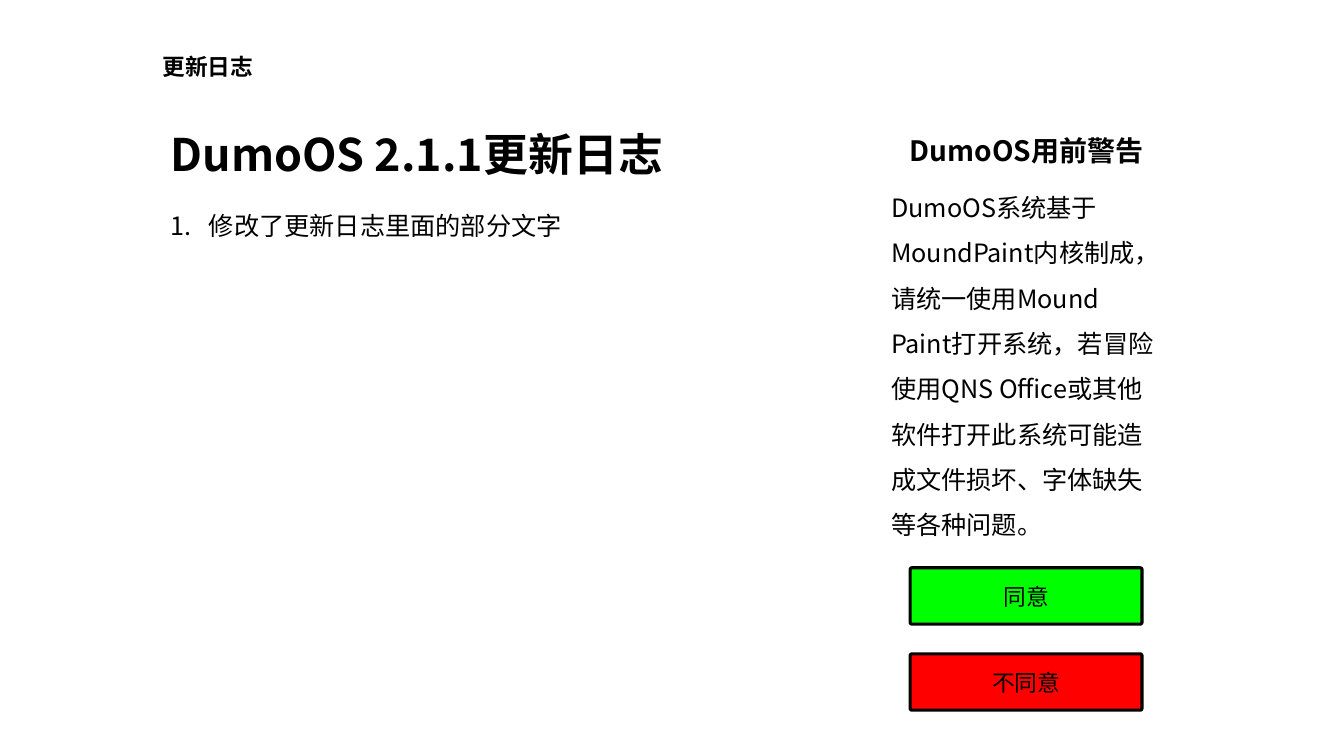
from lxml import etree
from pptx import Presentation
from pptx.dml.color import RGBColor
from pptx.enum.shapes import MSO_SHAPE
from pptx.enum.text import MSO_ANCHOR, MSO_AUTO_SIZE, PP_ALIGN
from pptx.oxml.ns import qn
from pptx.util import Inches, Pt

ROUND = MSO_SHAPE.ROUNDED_RECTANGLE
TOP, MID = MSO_ANCHOR.TOP, MSO_ANCHOR.MIDDLE
LEFT, MIDDLE, FULL = PP_ALIGN.LEFT, PP_ALIGN.CENTER, PP_ALIGN.JUSTIFY
GROW = MSO_AUTO_SIZE.SHAPE_TO_FIT_TEXT

WIDE, HIGH = Inches(13.33), Inches(7.5)
COLS, ROWS = 32, 18
FONT = "Noto Sans CJK SC"
HUES = {"ink": "000000", "card": "FFFFFF", "yes": "00FF00", "no": "FF0000"}

MAIN, SIDE = 3.62, 20.98
SPAN, SLIM = 24.29, 6.94
HEAD = 2.69
KEY, STEP = 13.52, 2.05
KEYS = [("同意", "yes"), ("不同意", "no")]
WARN = (
    "DumoOS系统基于MoundPaint内核制成，请统一使用Mound Paint打开系统，"
    "若冒险使用QNS Office或其他软件打开此系统可能造成文件损坏、字体缺失等各种问题。"
)


def hue(name):
    return RGBColor.from_string(HUES[name])


def cells(col, row, wide, high):
    return (
        round(col * WIDE / COLS),
        round(row * HIGH / ROWS),
        round(wide * WIDE / COLS),
        round(high * HIGH / ROWS),
    )


def place(shape, box):
    shape.left, shape.top, shape.width, shape.height = cells(*box)


def write(shape, text, size, align=LEFT, bold=False, lines=1, anchor=TOP):
    frame = shape.text_frame
    frame.word_wrap = True
    frame.vertical_anchor = anchor
    para = frame.paragraphs[0]
    para.alignment = align
    para.line_spacing = lines
    para.space_before = Pt(0)
    run = para.add_run()
    run.text = text
    font = run.font
    font.size, font.bold, font.name = Pt(size), bold, FONT
    font.color.rgb = hue("ink")
    etree.SubElement(font._element, qn("a:ea"), typeface=FONT)
    return para


def label(slide, box, text, size, **style):
    shape = slide.shapes.add_textbox(*cells(*box))
    write(shape, text, size, **style)
    shape.text_frame.auto_size = GROW


def block(slide, box, fill):
    shape = slide.shapes.add_shape(ROUND, *cells(*box))
    shape.adjustments[0] = 0.03
    shape.shadow.inherit = False
    shape.fill.solid()
    shape.fill.fore_color.rgb = hue(fill)
    shape.line.fill.background()
    return shape


def card(slide, box):
    shape = block(slide, box, "card")
    tint = shape.fill._xPr.find(qn("a:solidFill"))[0]
    etree.SubElement(tint, qn("a:alpha"), val="80000")
    return shape


def button(slide, box, text, fill):
    shape = block(slide, box, fill)
    shape.line.color.rgb = hue("ink")
    shape.line.width = Pt(2.25)
    write(shape, text, 16.2, align=MIDDLE, anchor=MID)


def title(slide, box, text):
    shape = slide.shapes.title
    place(shape, box)
    write(shape, text, 32, bold=True)
    shape.text_frame.auto_size = GROW


def steps(slide, box, text):
    shape = slide.placeholders[1]
    place(shape, box)
    para = write(shape, text, 18, lines=1.5)
    shape.text_frame.auto_size = GROW
    props = para._p.get_or_add_pPr()
    props.set("marL", str(Inches(0.38)))
    props.set("indent", str(-Inches(0.38)))
    etree.SubElement(props, qn("a:buFont"), typeface="+mj-lt")
    etree.SubElement(props, qn("a:buAutoNum"), type="arabicPeriod")


def main():
    deck = Presentation()
    deck.slide_width, deck.slide_height = WIDE, HIGH
    slide = deck.slides.add_slide(deck.slide_layouts[1])

    card(slide, (SIDE, 13.1, SLIM, 4.08))
    bar = card(slide, (MAIN, 0.81, SPAN, 1.56))
    write(bar, "更新日志", 16.2, align=FULL, bold=True, anchor=MID)
    card(slide, (MAIN, HEAD, 17.14, 14.52))
    card(slide, (SIDE, HEAD, SLIM, 10.3))

    for holder in (slide.placeholders[1], slide.shapes.title):
        slide.shapes._spTree.append(holder._element)
    steps(slide, (3.82, 4.53, 16.56, 2.33), "修改了更新日志里面的部分文字")
    title(slide, (3.82, 2.9, 24.07, 1.54), "DumoOS 2.1.1更新日志")

    label(slide, (SIDE, 3.07, SLIM, 1.06), "DumoOS用前警告", 20,
          align=MIDDLE, bold=True)
    label(slide, (SIDE, 4.1, SLIM, 8.88), WARN, 18, lines=1.5)
    for turn, (text, fill) in enumerate(KEYS):
        button(slide, (21.67, KEY + turn * STEP, 5.52, 1.34), text, fill)

    deck.save("out.pptx")


if __name__ == "__main__":
    main()
